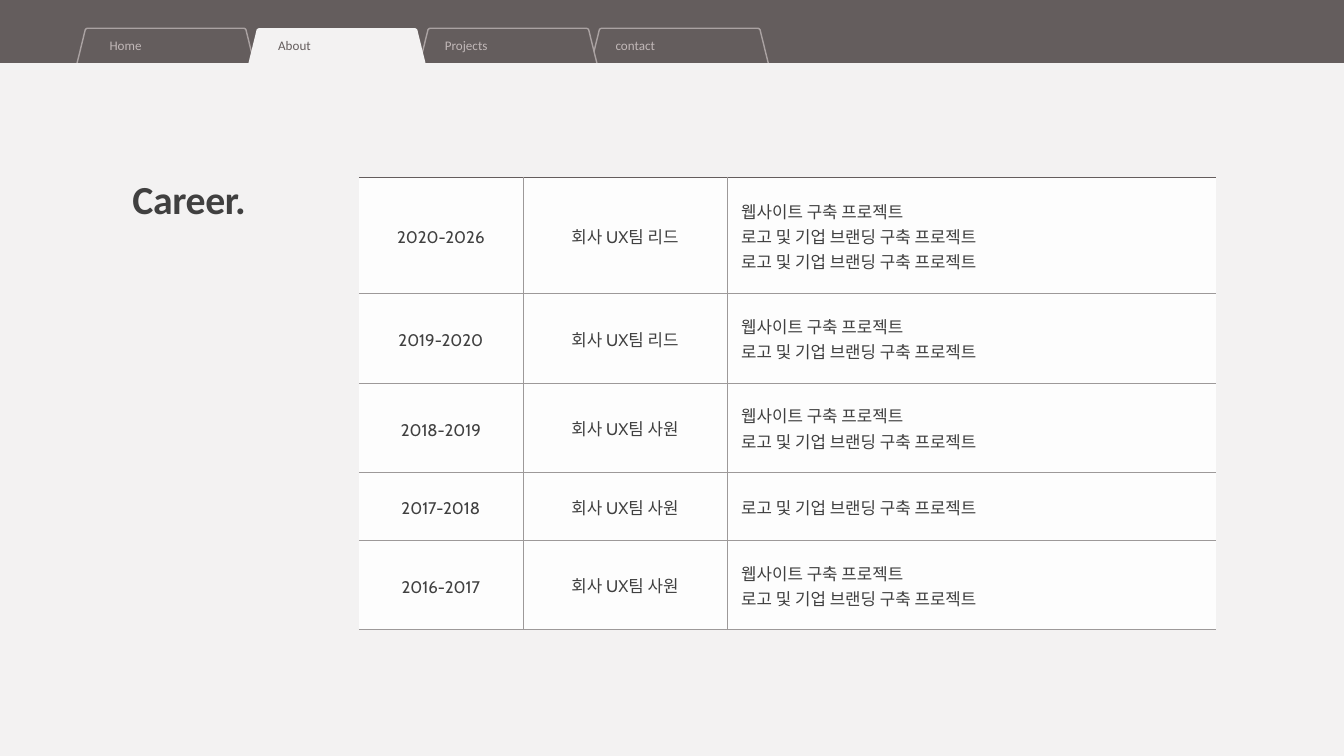
from lxml import etree
from pptx import Presentation
from pptx.dml.color import RGBColor
from pptx.enum.shapes import MSO_SHAPE
from pptx.enum.text import MSO_ANCHOR, PP_ALIGN
from pptx.oxml.ns import qn
from pptx.util import Inches, Pt

RECTANGLE = MSO_SHAPE.RECTANGLE
MIDDLE = MSO_ANCHOR.MIDDLE
LEFT, CENTER = PP_ALIGN.LEFT, PP_ALIGN.CENTER

BACKGROUND, HEADER, OUTLINE = "F3F2F2", "645D5D", "AAA2A2"
MUTED, INK, CELL, GRID = "C1B8B8", "404040", "FDFDFD", "9D9999"

TAB_LEFT, TAB_STEP = 1.13, 2.55
# Tab corners relative to its left edge, with the top corners slightly cut
TAB_OUTLINE = [(0.01, 1.03), (0, 1.01), (0.14, 0.44), (0.15, 0.43), (0.17, 0.42),
               (2.5, 0.42), (2.52, 0.43), (2.53, 0.44), (2.67, 1.01), (2.66, 1.03)]

WEBSITE = "웹사이트 구축 프로젝트"
BRANDING = "로고 및 기업 브랜딩 구축 프로젝트"
LEAD, STAFF = "회사 UX팀 리드", "회사 UX팀 사원"
CAREER = [
    ("2020-2026", LEAD, [WEBSITE, BRANDING, BRANDING]),
    ("2019-2020", LEAD, [WEBSITE, BRANDING]),
    ("2018-2019", STAFF, [WEBSITE, BRANDING]),
    ("2017-2018", STAFF, [BRANDING]),
    ("2016-2017", STAFF, [WEBSITE, BRANDING]),
]
COLUMN_WIDTHS = [2.44, 3.04, 7.28]
ROW_HEIGHTS = [1.73, 1.33, 1.33, 1.01, 1.33]


def color(value):
    return RGBColor.from_string(value)


def paint(shape, fill, line=None):
    shape.shadow.inherit = False
    shape.fill.solid()
    shape.fill.fore_color.rgb = color(fill)
    if line:
        shape.line.color.rgb = color(line)
        shape.line.width = Pt(1.5)
    else:
        shape.line.fill.background()


def add_band(slide, top, height, fill):
    shape = slide.shapes.add_shape(RECTANGLE, 0, Inches(top), Inches(20), Inches(height))
    paint(shape, fill)


def add_tab(slide, index, fill, line=None):
    left = TAB_LEFT + index * TAB_STEP
    points = [(Inches(left + x), Inches(y)) for x, y in TAB_OUTLINE]
    builder = slide.shapes.build_freeform(*points[0])
    builder.add_line_segments(points[1:], close=True)
    paint(builder.convert_to_shape(), fill, line)


def write(frame, lines, size, font, ink, spacing, align=LEFT, bold=False):
    for number, line in enumerate(lines):
        paragraph = frame.paragraphs[0] if number == 0 else frame.add_paragraph()
        paragraph.alignment = align
        paragraph.line_spacing = Pt(spacing)
        run = paragraph.add_run()
        run.text = line
        run.font.size = Pt(size)
        run.font.name = font
        run.font.bold = bold
        run.font.color.rgb = color(ink)


def add_text(slide, text, left, top, width, height, size, ink, spacing, bold=False):
    box = slide.shapes.add_textbox(Inches(left), Inches(top), Inches(width), Inches(height))
    frame = box.text_frame
    frame.word_wrap = True
    frame.margin_left = frame.margin_right = frame.margin_top = frame.margin_bottom = 0
    write(frame, [text], size, "Calibri", ink, spacing, bold=bold)
    return frame.paragraphs[0].runs[0]


def set_border(cell, side, ink, width):
    properties = cell._tc.get_or_add_tcPr()
    line = etree.SubElement(properties, qn(f"a:ln{side}"), w=str(Pt(width)))
    if width:
        fill = etree.SubElement(line, qn("a:solidFill"))
        etree.SubElement(fill, qn("a:srgbClr"), val=ink)
    else:
        etree.SubElement(line, qn("a:noFill"))


def style_cell(cell, row, column):
    inset = Inches(0.21)
    cell.margin_left = cell.margin_right = cell.margin_top = cell.margin_bottom = inset
    cell.vertical_anchor = MIDDLE
    # Open outer sides and a heavy rule on top
    set_border(cell, "L", GRID, 0.75 if column > 0 else 0)
    set_border(cell, "R", GRID, 0.75 if column < len(COLUMN_WIDTHS) - 1 else 0)
    set_border(cell, "T", *((HEADER, 2.25) if row == 0 else (GRID, 0.75)))
    set_border(cell, "B", GRID, 0.75)
    cell.fill.solid()
    cell.fill.fore_color.rgb = color(CELL)


def add_career_table(slide):
    frame = slide.shapes.add_table(len(CAREER), len(COLUMN_WIDTHS), Inches(5.34), Inches(2.64),
                                   Inches(sum(COLUMN_WIDTHS)), Inches(sum(ROW_HEIGHTS)))
    table = frame.table
    table.first_row = table.horz_banding = False
    for column, width in zip(table.columns, COLUMN_WIDTHS):
        column.width = Inches(width)
    for row, height in zip(table.rows, ROW_HEIGHTS):
        row.height = Inches(height)
    for row, (years, role, projects) in enumerate(CAREER):
        for column, lines in enumerate([[years], [role], projects]):
            cell = table.cell(row, column)
            style_cell(cell, row, column)
            is_projects = column == 2
            write(cell.text_frame, lines, 18, "Cabin", INK,
                  27.2 if is_projects else 27, LEFT if is_projects else CENTER)


def main():
    presentation = Presentation()
    presentation.slide_width = Inches(20)
    presentation.slide_height = Inches(11.25)
    slide = presentation.slides.add_slide(presentation.slide_layouts[6])
    slide.background.fill.solid()
    slide.background.fill.fore_color.rgb = color(BACKGROUND)

    # Header with the inactive tabs, their feet hidden by a strip
    add_band(slide, 0, 0.94, HEADER)
    for index in (3, 2, 0):
        add_tab(slide, index, HEADER, OUTLINE)
    add_band(slide, 0.94, 0.3, BACKGROUND)

    # Active tab and tab labels
    add_tab(slide, 1, BACKGROUND)
    for label, left, ink in [("Home", 1.63, MUTED), ("About", 4.14, HEADER),
                             ("Projects", 6.62, MUTED), ("contact", 9.16, MUTED)]:
        add_text(slide, label, left, 0.56, 1.56, 0.23, 14, ink, 16.8)

    # Title and career history
    title = add_text(slide, "Career.", 1.97, 2.74, 4.92, 0.6, 42.6, INK, 41.3, bold=True)
    title.font._element.set("spc", "-40")
    add_career_table(slide)

    presentation.save("out.pptx")


if __name__ == "__main__":
    main()
